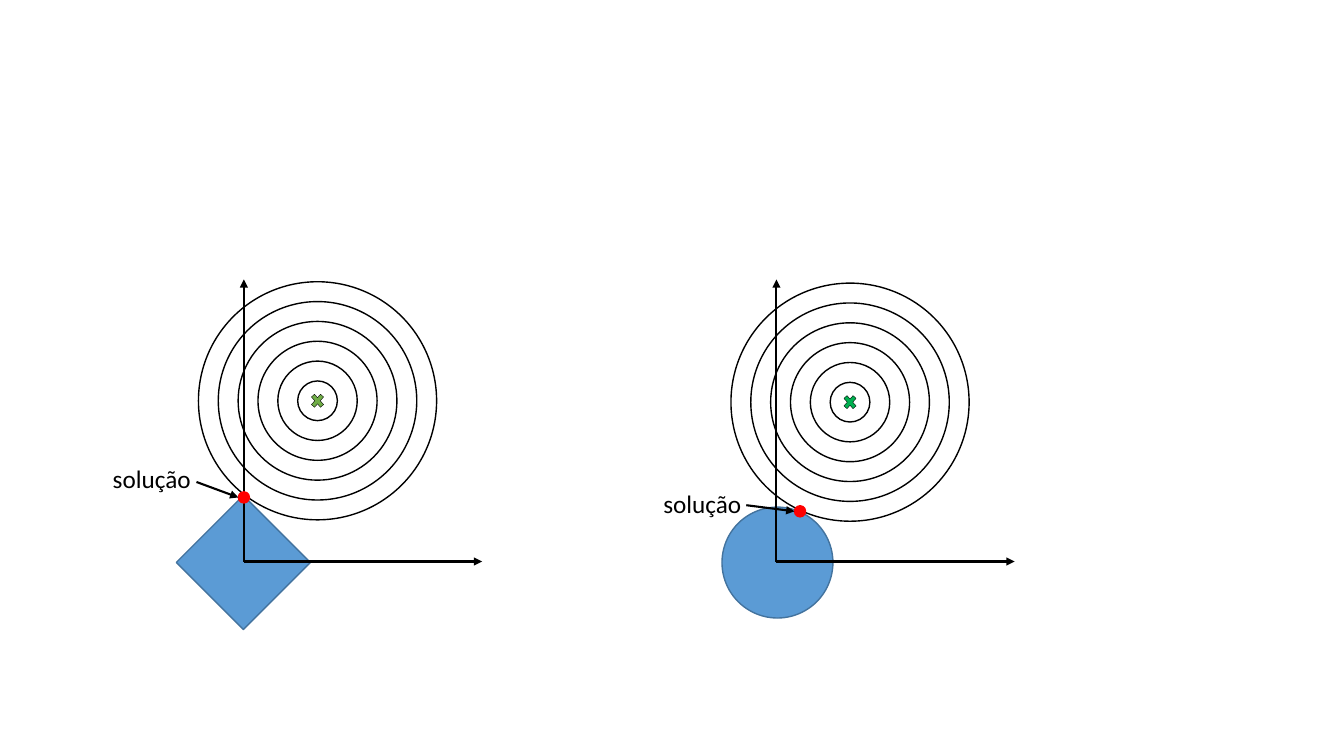
from dataclasses import dataclass

from lxml import etree
from pptx import Presentation
from pptx.dml.color import RGBColor
from pptx.enum.shapes import MSO_CONNECTOR, MSO_SHAPE
from pptx.enum.text import MSO_AUTO_SIZE
from pptx.oxml.ns import qn
from pptx.shapes.autoshape import Shape
from pptx.shapes.shapetree import GroupShapes
from pptx.util import Cm, Inches, Pt

OVAL = MSO_SHAPE.OVAL
RECTANGLE = MSO_SHAPE.RECTANGLE
MULTIPLY = MSO_SHAPE.MATH_MULTIPLY
STRAIGHT = MSO_CONNECTOR.STRAIGHT
FIT_TEXT = MSO_AUTO_SIZE.SHAPE_TO_FIT_TEXT

CELL = Cm(0.5)
RING_COUNT = 6
AXIS_ROW = 28.3
AXIS_WIDTH, AXIS_HEIGHT = 12, 14.22
DOT_SIZE = 0.56
CROSS_WIDTH, CROSS_HEIGHT = 0.88, 1
LABEL_WIDTH, LABEL_HEIGHT = 5.38, 2.03


@dataclass(frozen=True)
class Theme:
    font: str = "Calibri"
    label_size: float = 18
    outline: float = 1
    cross_outline: float = 0.25
    axis: float = 1.5
    ink: str = "000000"
    region: str = "5B9BD5"
    region_edge: str = "43739E"
    solution: str = "FF0000"


@dataclass(frozen=True)
class Point:
    column: float
    row: float

    def shifted(self, columns: float, rows: float) -> "Point":
        return Point(self.column + columns, self.row + rows)


@dataclass(frozen=True)
class Region:
    preset: int
    size: float
    rotation: float
    shift: float


@dataclass(frozen=True)
class Plot:
    origin: Point
    region: Region
    minimum: Point
    cross_color: str
    solution: Point
    label: Point
    arrow_start: Point


THEME = Theme()
PLOTS = [
    Plot(Point(12.29, AXIS_ROW), Region(RECTANGLE, 4.78, 45, -0.03),
         Point(3.71, -8.1), "70AD47", Point(0, -3.23),
         Point(-7.11, -5.18), Point(-2.39, -4.01)),
    Plot(Point(39.12, AXIS_ROW), Region(OVAL, 5.59, 0, 0.05),
         Point(3.71, -8.03), "00B050", Point(1.19, -2.53),
         Point(-6.2, -3.96), Point(-1.52, -2.84)),
]


def grid(cells: float) -> int:
    return round(cells * CELL)


def add_centred(shapes: GroupShapes, preset: int, centre: Point, width: float,
                height: float, fill: str | None, edge: str, weight: float) -> Shape:
    shape = shapes.add_shape(preset, grid(centre.column - width / 2),
                             grid(centre.row - height / 2), grid(width), grid(height))
    shape.shadow.inherit = False
    if fill is None:
        shape.fill.background()
    else:
        shape.fill.solid()
        shape.fill.fore_color.rgb = RGBColor.from_string(fill)
    shape.line.color.rgb = RGBColor.from_string(edge)
    shape.line.width = Pt(weight)
    return shape


def add_arrow(shapes: GroupShapes, start: Point, end: Point) -> None:
    arrow = shapes.add_connector(STRAIGHT, grid(start.column), grid(start.row),
                                 grid(end.column), grid(end.row))
    arrow.line.color.rgb = RGBColor.from_string(THEME.ink)
    arrow.line.width = Pt(THEME.axis)
    etree.SubElement(arrow.line._get_or_add_ln(), qn("a:tailEnd"), type="triangle")
    etree.SubElement(arrow._element.spPr, qn("a:effectLst"))


def add_label(shapes: GroupShapes, corner: Point, text: str) -> None:
    box = shapes.add_textbox(grid(corner.column), grid(corner.row),
                             grid(LABEL_WIDTH), grid(LABEL_HEIGHT))
    box.text_frame.word_wrap = True
    box.text_frame.auto_size = FIT_TEXT
    span = box.text_frame.paragraphs[0].add_run()
    span.text = text
    span.font.name = THEME.font
    span.font.size = Pt(THEME.label_size)
    span.font.color.rgb = RGBColor.from_string(THEME.ink)


def draw_plot(shapes: GroupShapes, plot: Plot) -> None:
    origin, region = plot.origin, plot.region
    minimum = origin.shifted(plot.minimum.column, plot.minimum.row)
    solution = origin.shifted(plot.solution.column, plot.solution.row)

    area = add_centred(shapes, region.preset, origin.shifted(region.shift, 0.05),
                       region.size, region.size, THEME.region, THEME.region_edge,
                       THEME.outline)
    area.rotation = region.rotation
    for radius in range(RING_COUNT, 0, -1):
        add_centred(shapes, OVAL, minimum, 2 * radius, 2 * radius, None,
                    THEME.ink, THEME.outline)
    add_centred(shapes, MULTIPLY, minimum, CROSS_WIDTH, CROSS_HEIGHT,
                plot.cross_color, THEME.ink, THEME.cross_outline)
    add_arrow(shapes, origin, origin.shifted(AXIS_WIDTH, 0))
    add_arrow(shapes, origin, origin.shifted(0, -AXIS_HEIGHT))
    add_centred(shapes, OVAL, solution, DOT_SIZE, DOT_SIZE, THEME.solution,
                THEME.solution, THEME.outline)
    add_label(shapes, origin.shifted(plot.label.column, plot.label.row), "solução")
    add_arrow(shapes, origin.shifted(plot.arrow_start.column, plot.arrow_start.row),
              solution.shifted(-DOT_SIZE / 2, 0))


def main() -> None:
    deck = Presentation()
    deck.slide_width, deck.slide_height = Inches(13.33), Inches(7.5)
    page = deck.slides.add_slide(deck.slide_layouts[6])
    for plot in PLOTS:
        draw_plot(page.shapes.add_group_shape().shapes, plot)
    deck.save("out.pptx")


if __name__ == "__main__":
    main()
